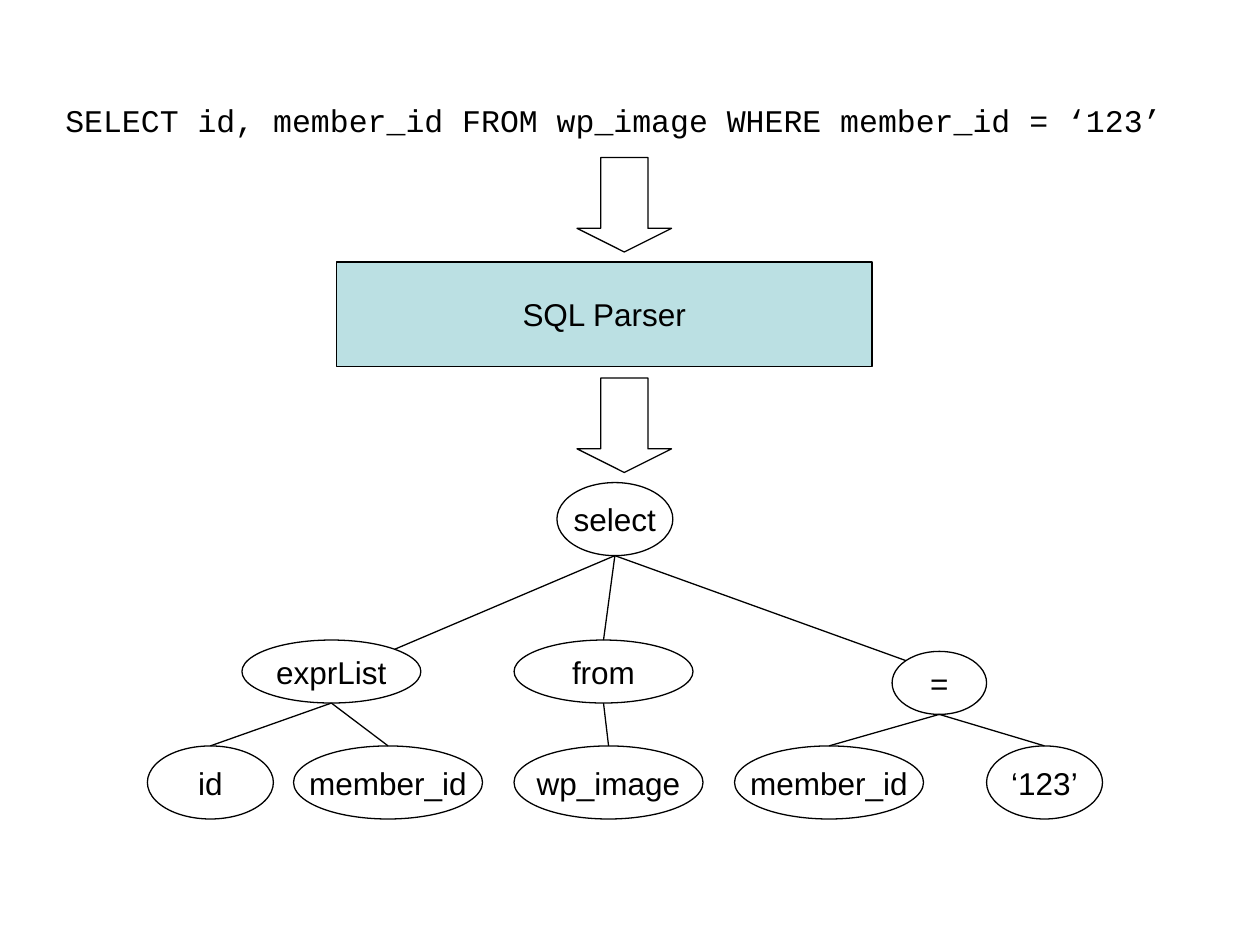
from math import sqrt

from pptx import Presentation
from pptx.dml.color import RGBColor
from pptx.enum import shapes, text
from pptx.oxml.ns import qn
from pptx.util import Inches, Pt
from lxml import etree

BLACK = "000000"
PARSER_FILL = "BBE0E3"
SHAPE = shapes.MSO_SHAPE

# name: (label, left, top, width, height), relative to the tree's box
NODES = {
    "select": ("select", 3.25, 0, 0.92, 0.58),
    "columns": ("exprList", 0.75, 1.25, 1.42, 0.5),
    "from": ("from", 2.91, 1.25, 1.42, 0.5),
    "equals": ("=", 5.91, 1.34, 0.75, 0.5),
    "id": ("id", 0, 2.09, 1, 0.58),
    "member column": ("member_id", 1.16, 2.09, 1.5, 0.58),
    "table": ("wp_image", 2.91, 2.09, 1.5, 0.58),
    "member operand": ("member_id", 4.66, 2.09, 1.5, 0.58),
    "value": ("‘123’", 6.66, 2.09, 0.92, 0.58),
}

# parent, child, side of the child's top edge (-1 left, 0 middle, 1 right)
BRANCHES = [
    ("select", "columns", 1),
    ("select", "from", 0),
    ("select", "equals", -1),
    ("equals", "member operand", 0),
    ("equals", "value", 0),
    ("columns", "id", 0),
    ("columns", "member column", 0),
    ("from", "table", 0),
]


def color(hex_string):
    return RGBColor.from_string(hex_string)


def add_label(paragraph, label, font="Arial"):
    run = paragraph.add_run()
    run.text = label
    run.font.name = font
    run.font.size = Pt(18)
    run.font.color.rgb = color(BLACK)


def add_outlined(slide, kind, box, label=None, fill=None):
    shape = slide.shapes.add_shape(kind, *map(Inches, box))
    shape.shadow.inherit = False
    if fill:
        shape.fill.solid()
        shape.fill.fore_color.rgb = color(fill)
    else:
        shape.fill.background()
    shape.line.color.rgb = color(BLACK)
    shape.line.width = Pt(0.75)
    if label:
        frame = shape.text_frame
        frame.word_wrap = False
        frame.vertical_anchor = text.MSO_ANCHOR.MIDDLE
        frame.paragraphs[0].alignment = text.PP_ALIGN.CENTER
        add_label(frame.paragraphs[0], label)
    return shape


def add_branch(slide, start, end):
    branch = slide.shapes.add_connector(
        shapes.MSO_CONNECTOR.STRAIGHT, *map(Inches, start + end))
    branch.line.color.rgb = color(BLACK)
    branch.line.width = Pt(0.75)
    properties = branch._element.find(qn("p:spPr"))
    etree.SubElement(properties, qn("a:effectLst"))


def add_query(slide, box):
    query = slide.shapes.add_textbox(*map(Inches, box))
    query.text_frame.word_wrap = True
    add_label(query.text_frame.paragraphs[0],
              "SELECT id, member_id FROM wp_image WHERE member_id = ‘123’",
              "Courier New")


def add_parser(slide, box):
    """Parser block with an arrow leading in above and one leading out below."""
    left, top, width, height = box
    block_top, block_height, arrow = 0.83, 0.83, 0.75
    add_outlined(slide, SHAPE.RECTANGLE,
                 (left, top + block_top, width, block_height),
                 "SQL Parser", PARSER_FILL)
    for arrow_top in (top, top + height - arrow):
        pointer = add_outlined(slide, SHAPE.DOWN_ARROW,
                               (left + 1.91, arrow_top, arrow, arrow))
        pointer.adjustments[0] = 0.5
        pointer.adjustments[1] = 0.25
        

def add_syntax_tree(slide, left, top):
    placed = {}
    for name, (label, x, y, width, height) in NODES.items():
        placed[name] = (left + x, top + y, width, height)
        add_outlined(slide, SHAPE.OVAL, placed[name], label)

    # Branches leave at the bottom and reach the upper edge of the child
    for parent, child, side in BRANCHES:
        x, y, width, height = placed[parent]
        start = (x + width / 2, y + height)
        x, y, width, height = placed[child]
        reach = side / sqrt(2)
        rise = sqrt(1 - reach ** 2)
        end = (x + width / 2 * (1 + reach), y + height / 2 * (1 - rise))
        add_branch(slide, start, end)


def main():
    deck = Presentation()
    deck.slide_width = Inches(10)
    deck.slide_height = Inches(7.5)
    slide = deck.slides.add_slide(deck.slide_layouts[6])
    add_query(slide, (0.42, 0.75, 9.33, 0.4))
    add_parser(slide, (2.67, 1.25, 4.25, 2.5))
    add_syntax_tree(slide, 1.17, 3.83)
    deck.save("out.pptx")


if __name__ == "__main__":
    main()
